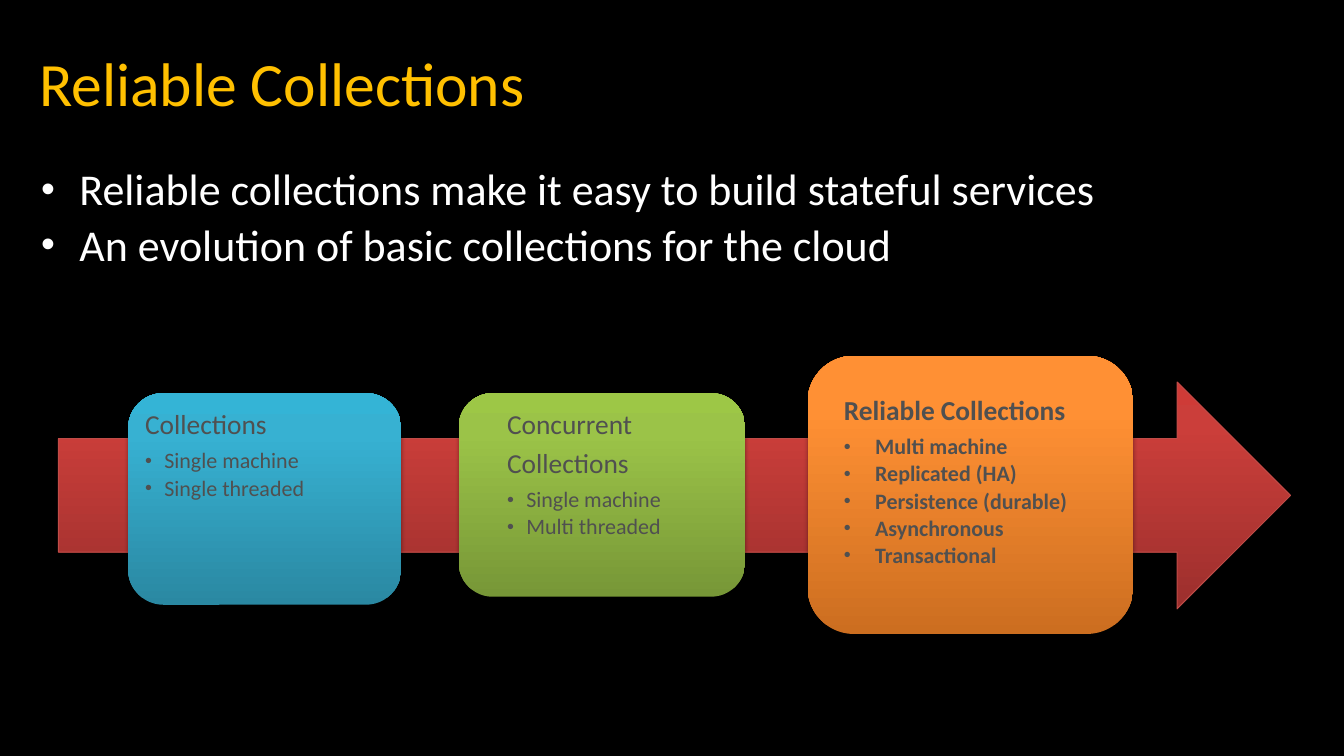
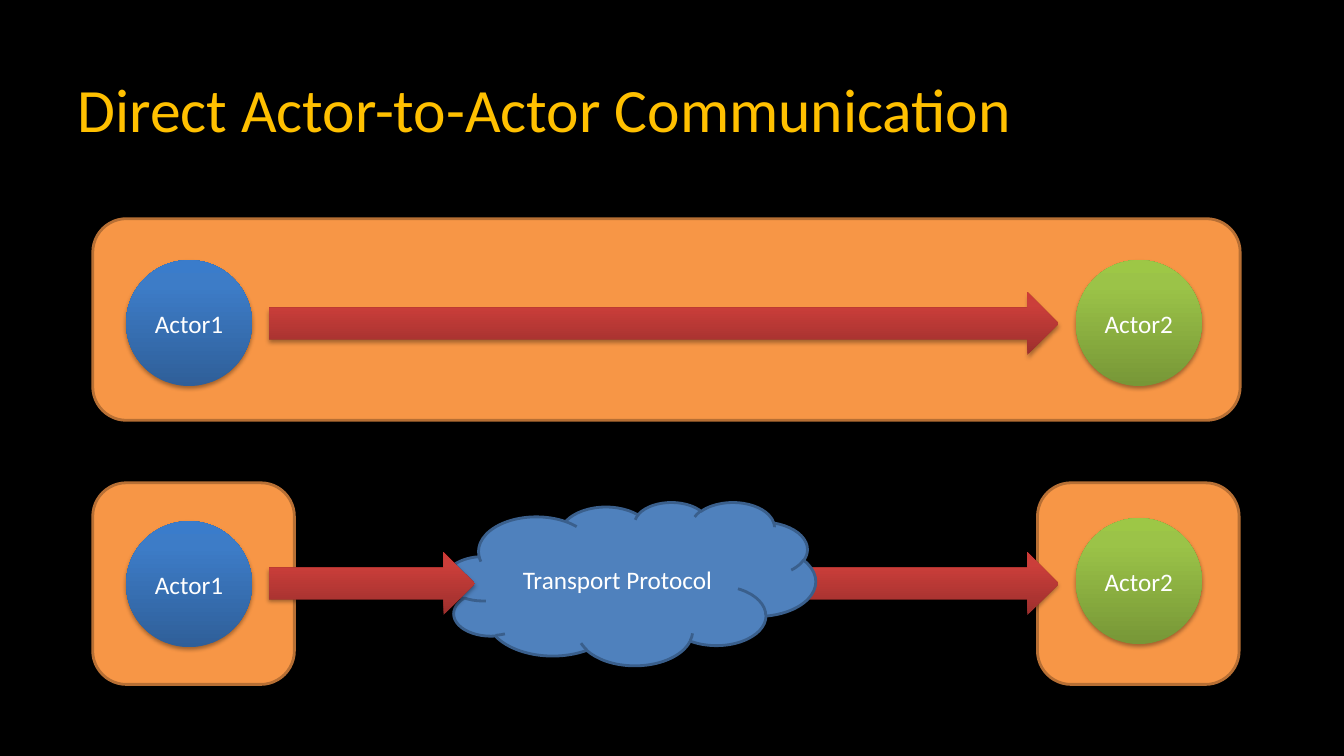
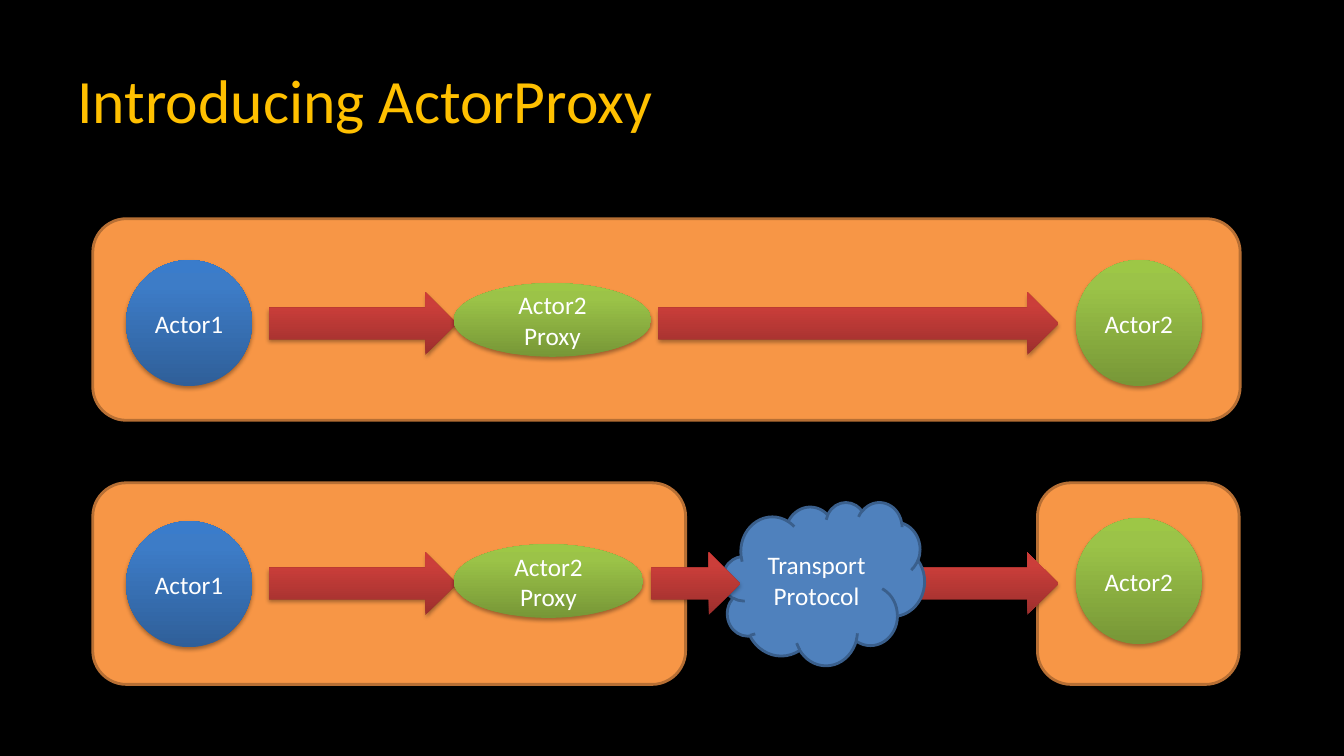
"""Build three slides on reliable collections and actor communication."""
from lxml.etree import SubElement
from pptx import Presentation
from pptx.dml.color import RGBColor
from pptx.enum.shapes import MSO_SHAPE
from pptx.enum.text import MSO_ANCHOR, PP_ALIGN
from pptx.oxml import parse_xml
from pptx.oxml.ns import nsdecls, qn
from pptx.util import Inches, Pt

FONT = "Calibri"
GOLD, WHITE, GRAY, BLACK = "FFC000", "FFFFFF", "505050", "000000"
RED = ("9C2F2D", "CB3E3A", "CE3B37")
BLUE = ("2F5F99", "3D7CC7", "3A7CCB")
GREEN = ("779737", "9BC348", "9DC746")
TEAL = ("2A88A2", "37B1D2", "34B4D6")
ORANGE = ("CC6E20", "FF9034", "FF9136")
HOST = ("F79646", "B76F34", 2)
CLOUD = ("4F81BD", "3A5F8C", 2)


def add_shape(slide, kind, at, paint, lines=(), outline=None):
    """Add a flat outlined shape, or a glossy shadowed one when paint is a gradient."""
    shape = slide.shapes.add_shape(kind, *map(Inches, at))
    shape.shadow.inherit = False
    properties = shape._element.spPr
    if paint in (HOST, CLOUD):
        shape.fill.solid()
        shape.fill.fore_color.rgb = RGBColor.from_string(paint[0])
        outline = paint[1:]
    else:
        stops = "".join(
            f'<a:gs pos="{position}"><a:srgbClr val="{color}"/></a:gs>'
            for position, color in zip((0, 80000, 100000), paint))
        properties.find(qn("a:prstGeom")).addnext(parse_xml(
            f'<a:gradFill {nsdecls("a")} rotWithShape="1"><a:gsLst>{stops}</a:gsLst>'
            '<a:lin ang="16200000" scaled="0"/></a:gradFill>'))
        properties.find(qn("a:effectLst")).append(parse_xml(
            f'<a:outerShdw {nsdecls("a")} blurRad="{Pt(3.1)}" dist="{Pt(1.8)}" '
            f'dir="5400000" rotWithShape="0"><a:srgbClr val="{BLACK}">'
            '<a:alpha val="35000"/></a:srgbClr></a:outerShdw>'))
    if outline:
        shape.line.color.rgb = RGBColor.from_string(outline[0])
        shape.line.width = Pt(outline[1])
    else:
        shape.line.fill.background()
    shape.text_frame.vertical_anchor = MSO_ANCHOR.MIDDLE
    for index, line in enumerate(lines):
        frame = shape.text_frame
        paragraph = frame.add_paragraph() if index else frame.paragraphs[0]
        paragraph.text = line
        paragraph.alignment = PP_ALIGN.CENTER
        paragraph.font.name, paragraph.font.size = FONT, Pt(18)
        paragraph.font.color.rgb = RGBColor.from_string(WHITE)


def add_text(slide, at, rows, color, margin=None, spacing=0.9, bold=False):
    """Add a text box; each row is text, size, bullet indent, space before and after."""
    frame = slide.shapes.add_textbox(*map(Inches, at)).text_frame
    frame.word_wrap = True
    if margin:
        frame.margin_left = frame.margin_right = Inches(margin)
        frame.margin_top = frame.margin_bottom = Inches(margin)
    for index, (text, size, indent, before, after) in enumerate(rows):
        paragraph = frame.add_paragraph() if index else frame.paragraphs[0]
        paragraph.text = text
        paragraph.line_spacing = spacing
        paragraph.space_before, paragraph.space_after = Pt(before), Pt(after)
        paragraph.font.name, paragraph.font.size = FONT, Pt(size)
        paragraph.font.bold = bold
        paragraph.font.color.rgb = RGBColor.from_string(color)
        if indent:
            settings = paragraph._p.get_or_add_pPr()
            settings.set("marL", str(Inches(indent)))
            settings.set("indent", str(-Inches(indent)))
            SubElement(settings, qn("a:buSzPct"), val="90000")
            SubElement(settings, qn("a:buFont"), typeface="Arial")
            SubElement(settings, qn("a:buChar"), char="•")
    return frame


presentation = Presentation()
presentation.slide_width, presentation.slide_height = Inches(13.33), Inches(7.5)
background = presentation.slide_master.background.fill
background.solid()
background.fore_color.rgb = RGBColor.from_string(BLACK)

titles = [
    ("Reliable Collections", (0.29, 0.32, 12.75, 0.98)),
    ("Direct Actor-to-Actor Communication", (0.67, 0.57, 12, 1)),
    ("Introducing ActorProxy", (0.67, 0.48, 12, 1)),
]
slides = []
for title, at in titles:
    slide = presentation.slides.add_slide(presentation.slide_layouts[6])
    frame = add_text(slide, at, [(title, 44, 0, 0, 0)], GOLD, spacing=1)
    frame.vertical_anchor = MSO_ANCHOR.MIDDLE
    slides.append(slide)
collections_slide, direct_slide, proxy_slide = slides

add_shape(collections_slide, MSO_SHAPE.RIGHT_ARROW, (0.58, 3.79, 12.22, 2.25), RED,
          outline=("BF4C48", 0.75))
statements = ["Reliable collections make it easy to build stateful services",
              "An evolution of basic collections for the cloud"]
add_text(collections_slide, (0.31, 1.61, 13, 1.4),
         [(statement, 31.4, 0.38, 6, 0) for statement in statements], WHITE)

stages = [
    ((1.27, 3.9, 2.71, 2.1), TEAL, (1.36, 4, 3.06, 1.89), 0.19, False,
     ["Collections"], ["Single machine", "Single threaded"]),
    ((4.55, 3.9, 2.84, 2.02), GREEN, (4.95, 4, 2.97, 1.82), 0.19, False,
     ["Concurrent", "Collections"], ["Single machine", "Multi threaded"]),
    ((8.01, 3.53, 3.23, 2.76), ORANGE, (8.29, 3.86, 2.92, 2.54), 0.31, True,
     ["Reliable Collections"],
     ["Multi machine", "Replicated (HA)", "Persistence (durable)",
      "Asynchronous", "Transactional"]),
]
for box, paint, text_box, indent, bold, headings, features in stages:
    add_shape(collections_slide, MSO_SHAPE.ROUNDED_RECTANGLE, box, paint)
    rows = [(heading, 19.6, 0, 0, 6.5) for heading in headings]
    rows += [(feature, 15.7, indent, 0, 2.4) for feature in features]
    add_text(collections_slide, text_box, rows, GRAY, margin=0.08, bold=bold)

UPPER_ARROW, LOWER_ARROW, ARROW_HEIGHT = 2.9, 5.48, 0.62
diagrams = [
    (direct_slide, 2, (4.42, 3.67), [],
     [(2.67, UPPER_ARROW, 7.83), (7.92, LOWER_ARROW, 2.58)],
     [(2.67, LOWER_ARROW, 2.04)]),
    (proxy_slide, 5.88, (7.17, 2), [(2.81, 1.96), (5.4, 1.88)],
     [(2.67, UPPER_ARROW, 1.86), (6.53, UPPER_ARROW, 3.97), (9, LOWER_ARROW, 1.5)],
     [(2.67, LOWER_ARROW, 1.86), (6.46, LOWER_ARROW, 0.88)]),
]
for slide, host_width, (cloud_left, cloud_width), proxies, back_arrows, front_arrows in diagrams:
    for left, top, width in [(10.29, 4.79, 2), (0.92, 4.79, host_width), (0.92, 2.17, 11.38)]:
        add_shape(slide, MSO_SHAPE.ROUNDED_RECTANGLE, (left, top, width, 2), HOST)
    for name, left, paint, tops in [("Actor1", 1.25, BLUE, (2.58, 5.17)),
                                    ("Actor2", 10.67, GREEN, (2.58, 5.14))]:
        for top in tops:
            add_shape(slide, MSO_SHAPE.OVAL, (left, top, 1.25, 1.25), paint, [name])
    for left, top, width in back_arrows:
        add_shape(slide, MSO_SHAPE.RIGHT_ARROW, (left, top, width, ARROW_HEIGHT), RED)
    add_shape(slide, MSO_SHAPE.CLOUD, (cloud_left, 4.98, cloud_width, 1.62), CLOUD,
              ["Transport Protocol"])
    for left, top, width in front_arrows:
        add_shape(slide, MSO_SHAPE.RIGHT_ARROW, (left, top, width, ARROW_HEIGHT), RED)
    for top, width in proxies:
        add_shape(slide, MSO_SHAPE.OVAL, (4.5, top, width, 0.73), GREEN, ["Actor2", "Proxy"])

presentation.save("out.pptx")
